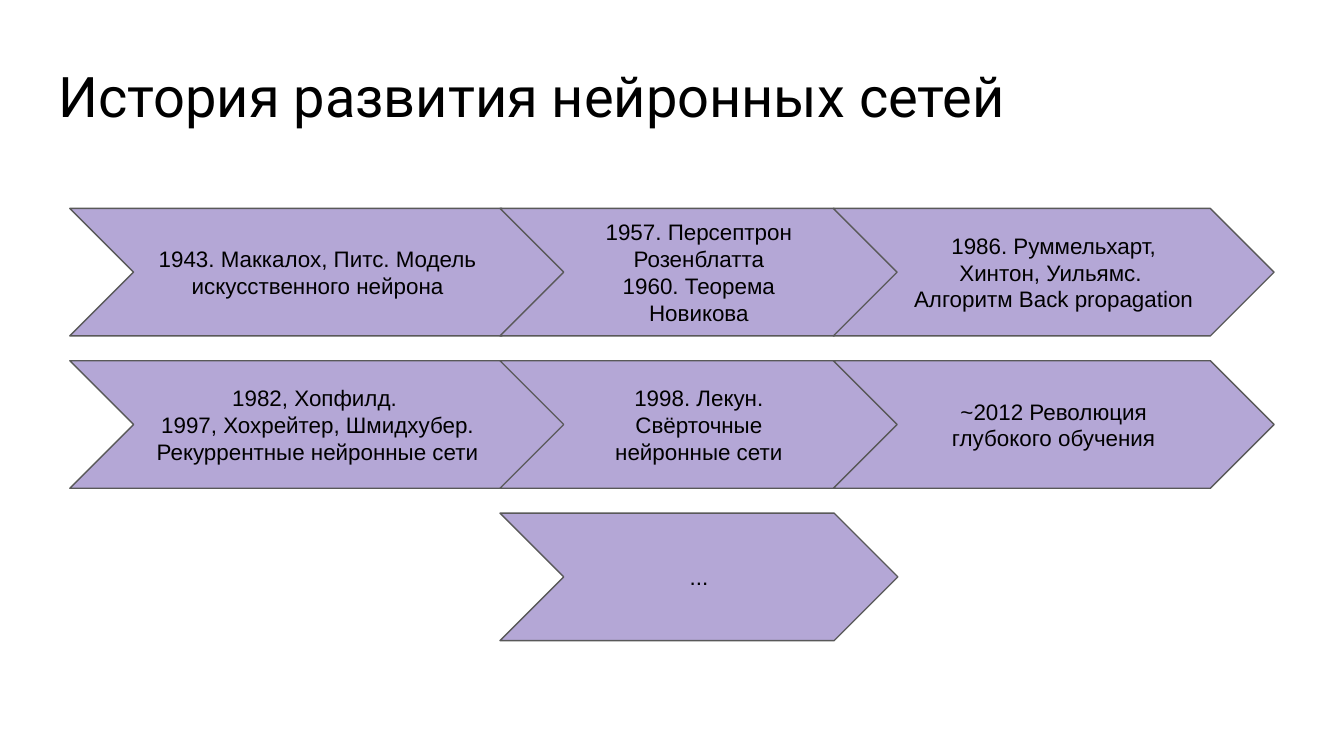
import pptx
import pptx.dml.color
import pptx.enum.shapes
import pptx.enum.text
import pptx.util

Cm = pptx.util.Cm
Pt = pptx.util.Pt
COLORS = {"text": "000000", "stage": "B4A7D6", "outline": "595959"}


def color(name):
    return pptx.dml.color.RGBColor.from_string(COLORS[name])


def write(frame, lines, font, size, align, anchor):
    frame.word_wrap = True
    frame.vertical_anchor = anchor
    frame.margin_left = frame.margin_right = Cm(0.25)
    frame.margin_top = frame.margin_bottom = Cm(0.25)
    for number, line in enumerate(lines):
        paragraph = frame.add_paragraph() if number else frame.paragraphs[0]
        paragraph.alignment = align
        run = paragraph.add_run()
        run.text = line
        run.font.name = font
        run.font.size = Pt(size)
        run.font.color.rgb = color("text")


deck = pptx.Presentation()
deck.slide_width = Cm(25.4)
deck.slide_height = Cm(14.29)
slide = deck.slides.add_slide(deck.slide_layouts[6])

# Title
title = slide.shapes.add_textbox(Cm(0.86), Cm(0.91), Cm(23.67), Cm(1.6))
write(title.text_frame, ["История развития нейронных сетей"], "Roboto", 30,
      pptx.enum.text.PP_ALIGN.LEFT, pptx.enum.text.MSO_ANCHOR.TOP)

# Timeline: each row lists its stages by column
columns = [(1.32, 9.37), (9.45, 7.52), (15.75, 8.33)]  # left, width
first_top, row_step, stage_height = 3.94, 2.88, 2.41
timeline = [
    [
        ["1943. Маккалох, Питс. Модель искусственного нейрона"],
        ["1957. Персептрон Розенблатта", "1960. Теорема Новикова"],
        ["1986. Руммельхарт, Хинтон, Уильямс. ", "Алгоритм Back propagation"],
    ],
    [
        ["1982, Хопфилд. ", "1997, Хохрейтер, Шмидхубер.",
         "Рекуррентные нейронные сети"],
        ["1998. Лекун. Свёрточные нейронные сети"],
        ["~2012 Революция глубокого обучения"],
    ],
    [None, ["..."], None],
]

for row, stages in enumerate(timeline):
    for (left, width), lines in zip(columns, stages):
        if lines is None:
            continue
        stage = slide.shapes.add_shape(
            pptx.enum.shapes.MSO_SHAPE.CHEVRON, Cm(left),
            Cm(first_top + row * row_step), Cm(width), Cm(stage_height))
        stage.shadow.inherit = False
        stage.fill.solid()
        stage.fill.fore_color.rgb = color("stage")
        stage.line.color.rgb = color("outline")
        stage.line.width = Pt(0.75)
        write(stage.text_frame, lines, "Arial", 12,
              pptx.enum.text.PP_ALIGN.CENTER, pptx.enum.text.MSO_ANCHOR.MIDDLE)

deck.save("out.pptx")
